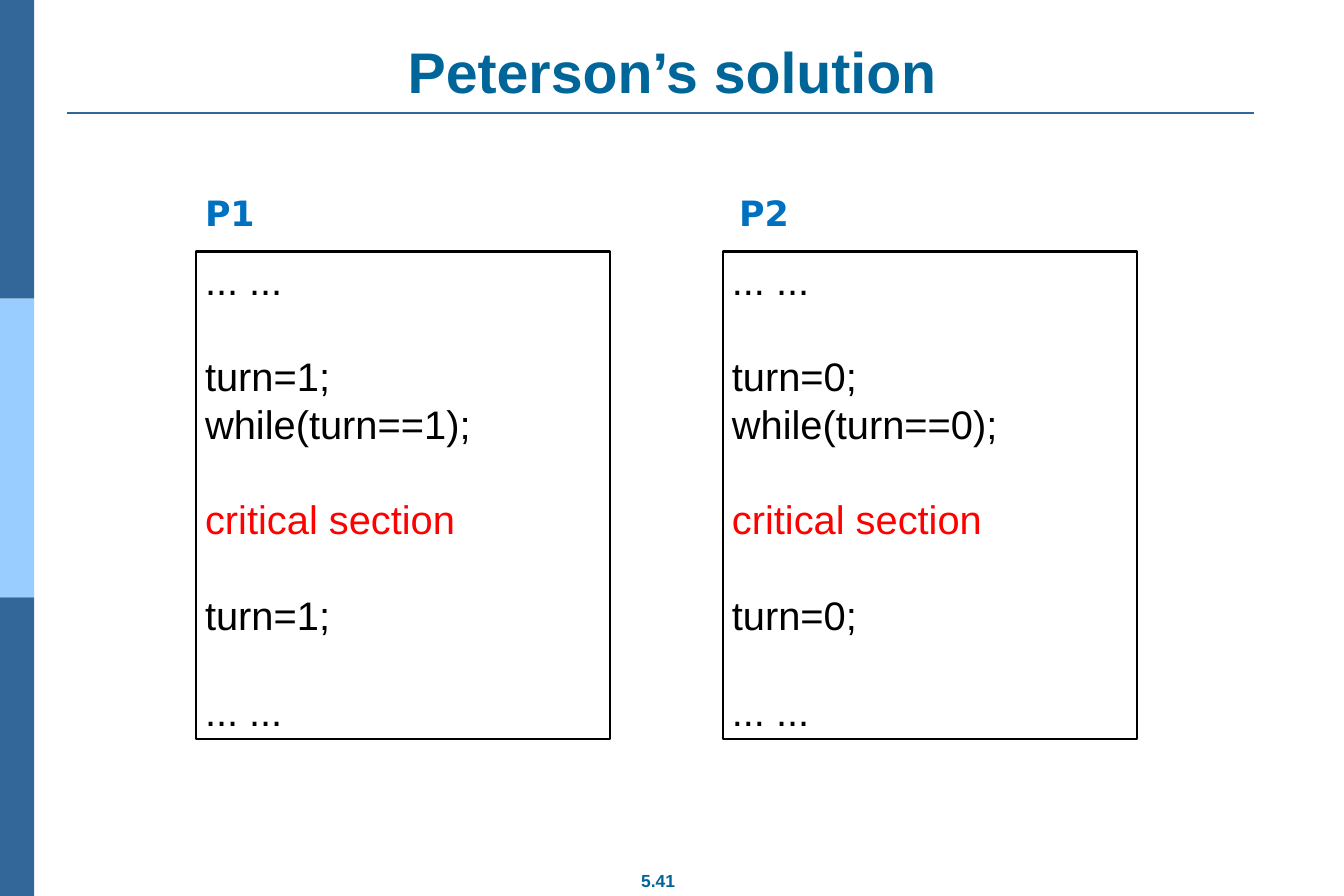
import dataclasses

import pptx
import pptx.dml.color
import pptx.enum.shapes
import pptx.enum.text
import pptx.oxml
import pptx.oxml.ns
import pptx.util

Inches = pptx.util.Inches
Pt = pptx.util.Pt
ALIGN = pptx.enum.text.PP_ALIGN
ANCHOR = pptx.enum.text.MSO_ANCHOR
RECTANGLE = pptx.enum.shapes.MSO_SHAPE.RECTANGLE
STRAIGHT = pptx.enum.shapes.MSO_CONNECTOR.STRAIGHT


@dataclasses.dataclass(frozen=True)
class Theme:
    """Colours, fonts and type sizes of the slide."""
    dark: str = "336699"
    light: str = "99CCFF"
    heading: str = "006699"
    label: str = "0070C0"
    ink: str = "000000"
    critical: str = "FF0000"
    paper: str = "FFFFFF"
    font: str = "Arial"
    label_font: str = "DejaVu Sans"
    title_size: float = 46
    code_size: float = 32
    label_size: float = 28
    number_size: float = 14
    code_pitch: float = 38.4


THEME = Theme()


def color(value):
    """Turn a hex value into a colour."""
    return pptx.dml.color.RGBColor.from_string(value)


def apply(target, values):
    """Set attributes from a dict of format values."""
    for name, value in values.items():
        setattr(target, name, value)


def write(para, text, size, ink, font=THEME.font, bold=False):
    """Add one formatted span of text to a paragraph."""
    span = para.add_run()
    span.text = text
    apply(span.font, {"size": Pt(size), "name": font, "bold": bold})
    span.font.color.rgb = color(ink)


def set_frame(frame, side, end, **values):
    """Set the insets and other values of a text frame."""
    apply(frame, {
        "margin_left": Inches(side), "margin_right": Inches(side),
        "margin_top": Inches(end), "margin_bottom": Inches(end),
        "word_wrap": True, **values})


def add_rectangle(page, box, fill):
    """Add a flat rectangle without an outline."""
    shape = page.shapes.add_shape(RECTANGLE, *map(Inches, box))
    shape.shadow.inherit = False
    shape.fill.solid()
    shape.fill.fore_color.rgb = color(fill)
    shape.line.fill.background()
    return shape


def add_text(page, box, text, style, side=0.1, end=0.05, align=ALIGN.LEFT, **frame_values):
    """Add a single-paragraph text box."""
    frame = page.shapes.add_textbox(*map(Inches, box)).text_frame
    set_frame(frame, side, end, **frame_values)
    para = frame.paragraphs[0]
    para.alignment = align
    write(para, text, **style)


def add_sidebar(page, box):
    """Stack three equal colour bands in the box."""
    left, top, width, height = box
    band = height / 3
    for index, fill in enumerate((THEME.dark, THEME.light, THEME.dark)):
        add_rectangle(page, (left, top + index * band, width, band), fill)


def add_heading(page, box, text):
    """Place the centred title with a rule just below it."""
    left, top, width, height = box
    style = {"size": THEME.title_size, "ink": THEME.heading, "bold": True}
    add_text(page, box, text, style, 0.14, 0.07, ALIGN.CENTER,
             vertical_anchor=ANCHOR.BOTTOM)
    level = Inches(top + height + 0.02)
    rule = page.shapes.add_connector(
        STRAIGHT, Inches(left), level, Inches(left + width - 0.25), level)
    rule.line.color.rgb = color(THEME.dark)
    rule.line.width = Pt(1.5)
    rule._element.spPr.append(pptx.oxml.parse_xml(
        "<a:effectLst %s/>" % pptx.oxml.ns.nsdecls("a")))


def add_process(page, box, name, turn, label_shift):
    """Place a process label and its framed code below."""
    left, top, width, height = box
    style = {"size": THEME.label_size, "ink": THEME.label,
             "font": THEME.label_font, "bold": True}
    add_text(page, (left + label_shift, top, 1.13, 0.57), name, style)
    panel = add_rectangle(page, (left, top + 0.72, width, height - 0.72), THEME.paper)
    panel.line.color.rgb = color(THEME.ink)
    panel.line.width = Pt(2)
    frame = panel.text_frame
    set_frame(frame, 0.1, 0.05, vertical_anchor=ANCHOR.TOP)
    lines = (
        ("... ...", THEME.ink, 0),
        (f"turn={turn};", THEME.ink, 1),
        (f"while(turn=={turn});", THEME.ink, 0),
        ("critical section", THEME.critical, 1),
        (f"turn={turn};", THEME.ink, 1),
        ("... ...", THEME.ink, 1),
    )
    for index, (text, ink, gap) in enumerate(lines):
        para = frame.add_paragraph() if index else frame.paragraphs[0]
        apply(para, {"alignment": ALIGN.LEFT, "line_spacing": Pt(THEME.code_pitch),
                     "space_before": Pt(gap * THEME.code_pitch)})
        write(para, text, THEME.code_size, ink)


def add_page_number(page, box, text):
    """Place the centred page number."""
    style = {"size": THEME.number_size, "ink": THEME.heading, "bold": True}
    add_text(page, box, text, style, 0.14, 0.07, ALIGN.CENTER, word_wrap=False)


def main():
    """Build the slide and save the deck."""
    deck = pptx.Presentation()
    apply(deck, {"slide_width": Inches(15), "slide_height": Inches(10)})
    page = deck.slides.add_slide(deck.slide_layouts[6])
    add_sidebar(page, (0, 0, 0.38, 10))
    add_heading(page, (0.75, 0.4, 13.5, 0.84), "Peterson’s solution")
    add_process(page, (2.19, 2.09, 4.62, 6.16), "P1", 1, 0)
    add_process(page, (8.07, 2.09, 4.62, 6.16), "P2", 0, 0.08)
    add_page_number(page, (6.65, 9.64, 1.39, 0.38), "5.41")
    deck.save("out.pptx")


if __name__ == "__main__":
    main()
